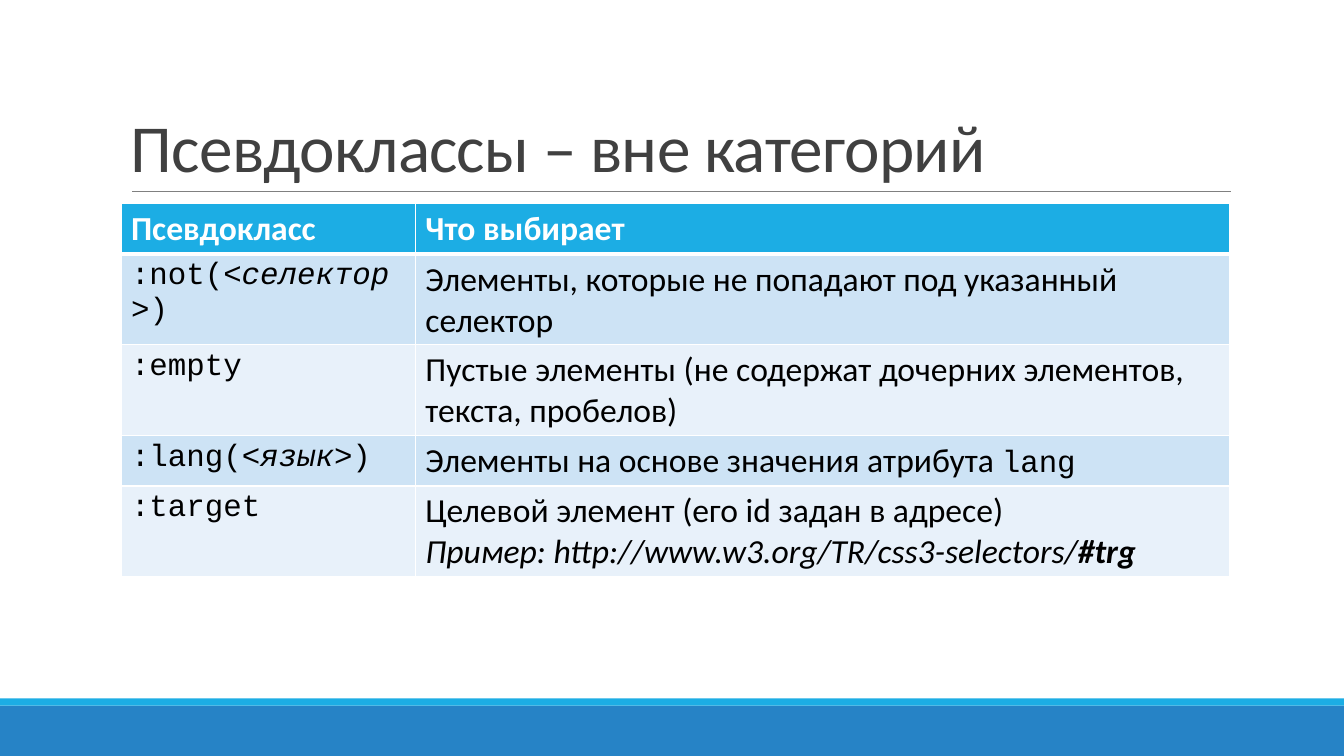
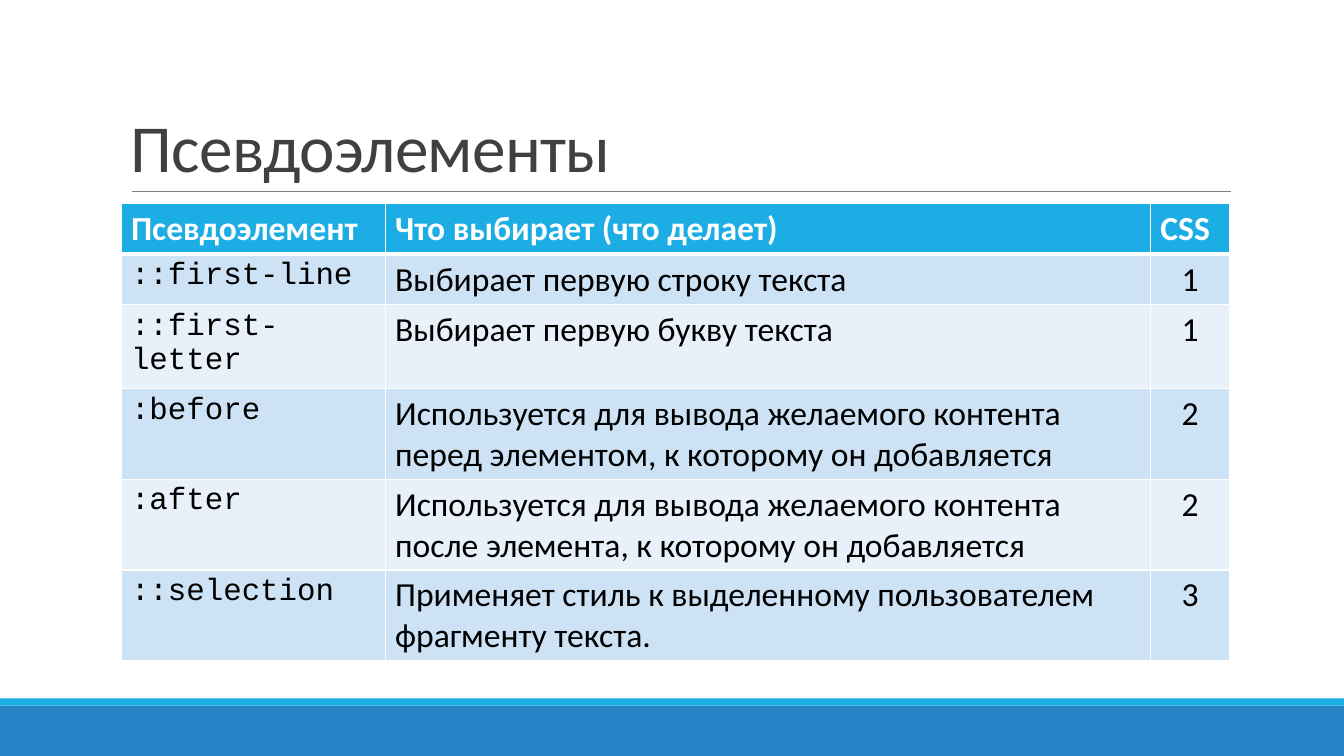
from lxml.etree import SubElement
from pptx import Presentation
from pptx.dml.color import RGBColor
from pptx.enum.shapes import MSO_CONNECTOR as CONN, MSO_SHAPE as SHAPE
from pptx.enum.text import MSO_ANCHOR as ANCHOR, PP_ALIGN as ALIGN
from pptx.oxml.ns import qn
from pptx.util import Inches, Pt

COLORS = {
    "band": "2683C6", "accent": "1CADE4", "rule": "808080",
    "title": "404040", "text": "000000", "white": "FFFFFF",
    "odd": "CDE3F5", "even": "E8F1FA",
}
BODY, CODE = ("Calibri", 24), ("Courier New", 22)


def rgb(name):
    return RGBColor.from_string(COLORS[name])


def code(text, italic=False):
    return text, CODE, italic, False


def body(text, italic=False, bold=False):
    return text, BODY, italic, bold


class Deck:
    def __init__(self):
        self.prs = Presentation()
        self.prs.slide_width, self.prs.slide_height = Inches(13.33), Inches(7.5)
        self.s = None

    # Slide frame: bands, rule and title
    def slide(self, title):
        self.s = self.prs.slides.add_slide(self.prs.slide_layouts[6])
        self.band(7, 0.5, "band")
        self.band(6.93, 0.07, "accent")
        self.rule(1.31, 12.21, 1.9)
        self.title(title)

    def band(self, top, height, color):
        sp = self.s.shapes.add_shape(SHAPE.RECTANGLE, 0, Inches(top),
                                     self.prs.slide_width, Inches(height))
        sp.shadow.inherit = False
        sp.fill.solid()
        sp.fill.fore_color.rgb = rgb(color)
        sp.line.fill.background()

    def rule(self, left, right, y):
        line = self.s.shapes.add_connector(CONN.STRAIGHT, Inches(left), Inches(y),
                                           Inches(right), Inches(y))
        line.line.color.rgb = rgb("rule")
        line.line.width = Pt(0.5)
        SubElement(line._element.spPr, qn("a:effectLst"))

    def title(self, text):
        box = self.s.shapes.add_textbox(Inches(1.2), Inches(0.31),
                                        Inches(11), Inches(1.59))
        tf = box.text_frame
        tf.word_wrap = True
        tf.vertical_anchor = ANCHOR.BOTTOM
        p = tf.paragraphs[0]
        p.line_spacing = 0.85
        r = p.add_run()
        r.text = text
        r.font.name, r.font.size = "Calibri", Pt(48)
        r.font.color.rgb = rgb("title")
        r.font._element.set("spc", "-50")

    # Tables: each cell is a list of paragraphs, each paragraph a list of runs
    def table(self, widths, header, rows):
        grid = [[[[body(text, bold=True)]] for text in header]] + rows
        row_height = Inches(0.41)
        table = self.s.shapes.add_table(
            len(grid), len(widths), Inches(1.2), Inches(2.02),
            Inches(sum(widths)), row_height * len(grid)).table
        for column, width in zip(table.columns, widths):
            column.width = Inches(width)
        for i, cells in enumerate(grid):
            table.rows[i].height = row_height
            fill = "accent" if i == 0 else "odd" if i % 2 else "even"
            for j, paragraphs in enumerate(cells):
                cell = table.cell(i, j)
                self.borders(cell, top=3 if i == 1 else 1, bottom=3 if i == 0 else 1)
                cell.fill.solid()
                cell.fill.fore_color.rgb = rgb(fill)
                centred = i > 0 and j == 2
                self.cell_text(cell, paragraphs, "text" if i else "white", centred)

    def borders(self, cell, top, bottom):
        props = cell._tc.get_or_add_tcPr()
        for side, width in (("L", 1), ("R", 1), ("T", top), ("B", bottom)):
            ln = SubElement(props, qn(f"a:ln{side}"), w=str(Pt(width)))
            solid = SubElement(ln, qn("a:solidFill"))
            SubElement(solid, qn("a:srgbClr"), val=COLORS["white"])

    def cell_text(self, cell, paragraphs, color, centred):
        tf = cell.text_frame
        for k, runs in enumerate(paragraphs):
            p = tf.add_paragraph() if k else tf.paragraphs[0]
            p.alignment = ALIGN.CENTER if centred else ALIGN.LEFT
            for text, (font, size), italic, bold in runs:
                r = p.add_run()
                r.text = text
                r.font.name, r.font.size = font, Pt(size)
                r.font.italic, r.font.bold = italic, bold
                r.font.color.rgb = rgb(color)


def main():
    deck = Deck()

    # Pseudo-classes
    deck.slide("Псевдоклассы – вне категорий")
    deck.table([2.92, 8.08], ["Псевдокласс", "Что выбирает"], [
        [[[code(":not("), code("<селектор>", italic=True), code(")")]],
         [[body("Элементы, которые не попадают под указанный селектор")]]],
        [[[code(":empty")]],
         [[body("Пустые элементы (не содержат дочерних элементов, текста, пробелов)")]]],
        [[[code(":lang("), code("<язык>", italic=True), code(")")]],
         [[body("Элементы на основе значения атрибута "), code("lang")]]],
        [[[code(":target")]],
         [[body("Целевой элемент (его id задан в адресе)")],
          [body("Пример: http://www.w3.org/TR/css3-selectors/", italic=True),
           body("#trg", italic=True, bold=True)]]],
    ])

    # Pseudo-elements
    deck.slide("Псевдоэлементы")
    elements = [
        ("::first-line", "Выбирает первую строку текста", "1"),
        ("::first-letter", "Выбирает первую букву текста", "1"),
        (":before", "Используется для вывода желаемого контента "
                    "перед элементом, к которому он добавляется", "2"),
        (":after", "Используется для вывода желаемого контента "
                   "после элемента, к которому он добавляется", "2"),
        ("::selection", "Применяет стиль к выделенному пользователем "
                        "фрагменту текста.", "3"),
    ]
    deck.table([2.62, 7.59, 0.79],
               ["Псевдоэлемент", "Что выбирает (что делает)", "CSS"],
               [[[[code(name)]], [[body(effect)]], [[body(level)]]]
                for name, effect, level in elements])

    deck.prs.save("out.pptx")


if __name__ == "__main__":
    main()
